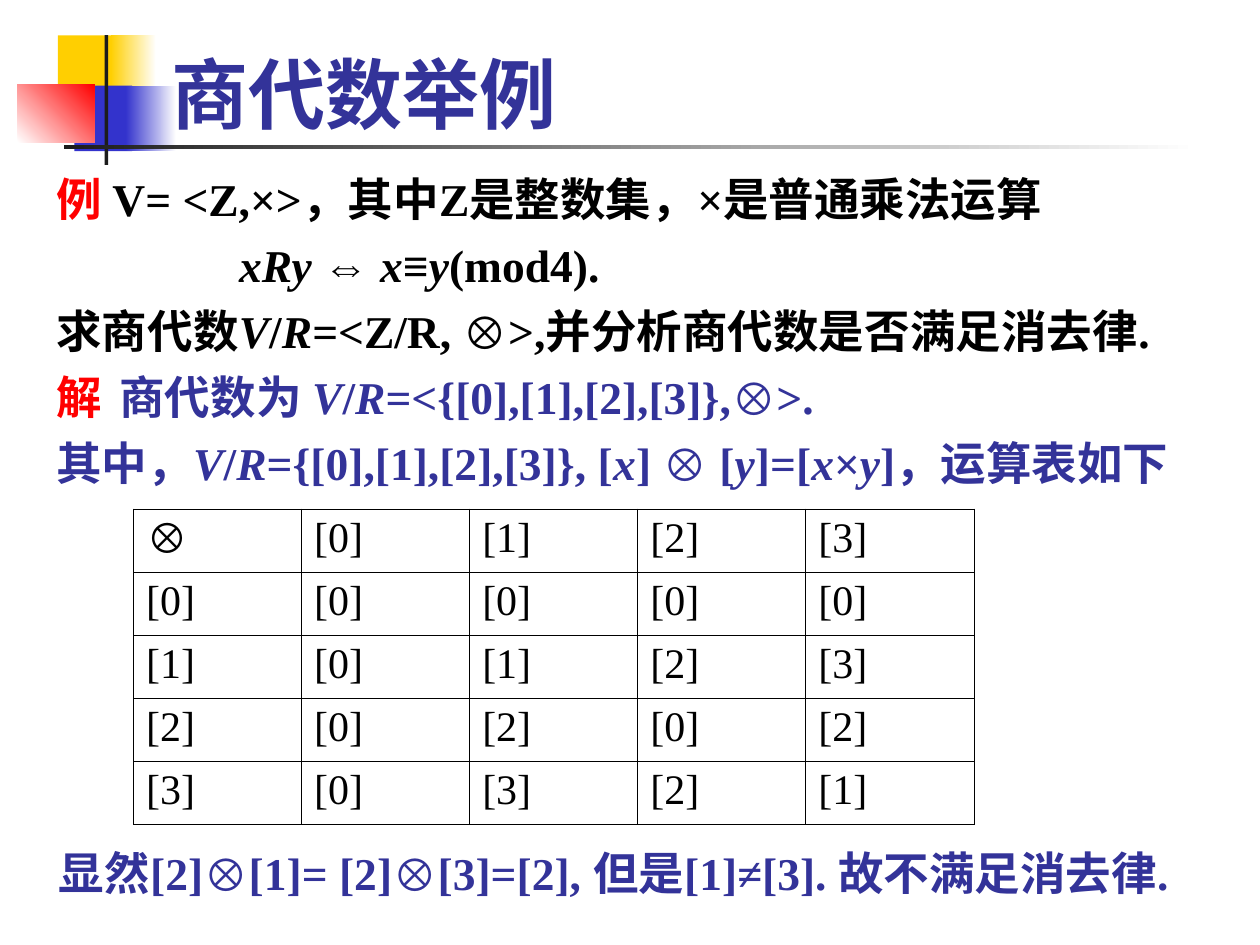
import pptx
import pptx.dml.color
import pptx.enum.lang
import pptx.enum.shapes
import pptx.enum.text
import pptx.oxml
import pptx.oxml.ns
import pptx.util
from pptx.util import Inches

COLORS = {
    "yellow": "FFCF01", "blue": "3333CC", "red": "FF0000", "dark": "1C1C1C",
    "white": "FFFFFF", "black": "000000", "indigo": "333399",
}
SERIF = "Times New Roman"


def rgb(color):
    """Return the named colour."""
    return pptx.dml.color.RGBColor.from_string(COLORS[color])


def write(paragraph, text, size=26, color="black", bold=True, font=SERIF):
    """Add text to a paragraph, with the parts between underscores in italics."""
    for index, part in enumerate(text.split("_")):
        if part:
            run = paragraph.add_run()
            run.text = part
            run.font.size = pptx.util.Pt(size)
            run.font.name = font
            run.font.bold = bold
            run.font.italic = index % 2 == 1
            run.font.color.rgb = rgb(color)
            run.font.language_id = pptx.enum.lang.MSO_LANGUAGE_ID.SIMPLIFIED_CHINESE


def add_frame(slide, left, top, width, height):
    """Add a wrapping text box and return its text frame."""
    frame = slide.shapes.add_textbox(
        Inches(left), Inches(top), Inches(width), Inches(height)).text_frame
    frame.word_wrap = True
    return frame


def add_block(slide, left, top, width, height, start, end=None, angle=0):
    """Add a borderless rectangle, plain or fading from start to end."""
    block = slide.shapes.add_shape(
        pptx.enum.shapes.MSO_SHAPE.RECTANGLE,
        Inches(left), Inches(top), Inches(width), Inches(height))
    block.shadow.inherit = False
    block.line.fill.background()
    if end is None:
        block.fill.solid()
        block.fill.fore_color.rgb = rgb(start)
    else:
        block.fill.gradient()
        block.fill.gradient_angle = angle
        for stop, color in zip(block.fill.gradient_stops, (start, end)):
            stop.color.rgb = rgb(color)


def add_ornament(slide, left, top):
    """Place the coloured blocks and the crossing rules."""
    for x, y, width, height, *fill in (
        (0.32, 0, 0.48, 0.52, "yellow"),
        (0.74, 0, 0.36, 0.52, "yellow", "white"),
        (0.45, 0.4, 0.46, 0.52, "blue"),
        (0.86, 0.4, 0.4, 0.52, "blue", "white"),
        (0, 0.39, 0.61, 0.46, "white", "red", 45),
        (0.69, 0, 0.03, 1.03, "dark"),
        (0.37, 0.87, 9, 0.03, "dark", "white"),
    ):
        add_block(slide, left + x, top + y, width, height, *fill)


def add_title(slide, left, top, width, height):
    """Place the slide title at the bottom of its box."""
    frame = add_frame(slide, left, top, width, height)
    frame.vertical_anchor = pptx.enum.text.MSO_ANCHOR.BOTTOM
    write(frame.paragraphs[0], "商代数举例", size=44, color="indigo", font="Roboto")


def add_example(slide, left, top, width, height):
    """Place the problem and the start of its solution."""
    frame = add_frame(slide, left, top, width, height)
    lines = (
        (0, ("例 ", "red"), ("V= <Z,×>，其中Z是整数集，×是普通乘法运算", "black")),
        (1.45, ("_xRy_ ⇔ _x_≡_y_(mod4).", "black")),
        (0, ("求商代数_V_/_R_=<Z/R, ⊗>,并分析商代数是否满足消去律.", "black")),
        (0, ("解", "red"), ("\t商代数为 _V_/_R_=<{[0],[1],[2],[3]},⊗>.", "indigo")),
        (0, ("其中，_V_/_R_={[0],[1],[2],[3]}, [_x_] ⊗ [_y_]=[_x_×_y_]，运算表如下",
             "indigo")),
    )
    for index, (indent, *parts) in enumerate(lines):
        paragraph = frame.add_paragraph() if index else frame.paragraphs[0]
        properties = paragraph._p.get_or_add_pPr()
        properties.set("marL", str(Inches(indent)))
        properties.set("indent", "0")
        if index:
            paragraph.space_before = pptx.util.Pt(6.5)
        if any("\t" in text for text, _ in parts):
            properties.append(pptx.oxml.parse_xml(
                f'<a:tabLst {pptx.oxml.ns.nsdecls("a")}>'
                f'<a:tab pos="{Inches(0.59)}" algn="l"/></a:tabLst>'))
        for text, color in parts:
            write(paragraph, text, color=color)


def add_borders(cell):
    """Draw a thin line on each side of a table cell."""
    properties = cell._tc.get_or_add_tcPr()
    for index, side in enumerate(("lnL", "lnR", "lnT", "lnB")):
        properties.insert(index, pptx.oxml.parse_xml(
            f'<a:{side} {pptx.oxml.ns.nsdecls("a")} w="{pptx.util.Pt(0.45)}">'
            f'<a:solidFill><a:srgbClr val="{COLORS["black"]}"/></a:solidFill></a:{side}>'))


def add_operation_table(slide, left, top, width, height, modulus=4):
    """Place the multiplication table of the residue classes."""
    size = modulus + 1
    table = slide.shapes.add_table(
        size, size, Inches(left), Inches(top), Inches(width), Inches(height)).table
    table.first_row = False
    table.horz_banding = False
    classes = range(modulus)
    products = [["⊗"] + [f"[{y}]" for y in classes]]
    products += [[f"[{x}]"] + [f"[{x * y % modulus}]" for y in classes] for x in classes]
    for row, values in enumerate(products):
        for column, value in enumerate(values):
            cell = table.cell(row, column)
            cell.fill.background()
            add_borders(cell)
            write(cell.text_frame.paragraphs[0], value, size=24, bold=False)


def add_conclusion(slide, left, top, width, height):
    """Place the closing remark on cancellation."""
    frame = add_frame(slide, left, top, width, height)
    write(frame.paragraphs[0],
          "显然[2]⊗[1]= [2]⊗[3]=[2], 但是[1]≠[3]. 故不满足消去律.", color="indigo")


def main():
    """Build and save the slide."""
    presentation = pptx.Presentation()
    presentation.slide_width = Inches(10)
    presentation.slide_height = Inches(7.5)
    slide = presentation.slides.add_slide(presentation.slide_layouts[6])
    add_ornament(slide, 0.14, 0.28)
    add_title(slide, 1.26, 0.08, 8.52, 1.07)
    add_example(slide, 0.35, 1.31, 9.65, 2.68)
    add_operation_table(slide, 1.06, 4.04, 6.67, 2.5)
    add_conclusion(slide, 0.37, 6.66, 9.63, 0.54)
    presentation.save("out.pptx")


if __name__ == "__main__":
    main()
